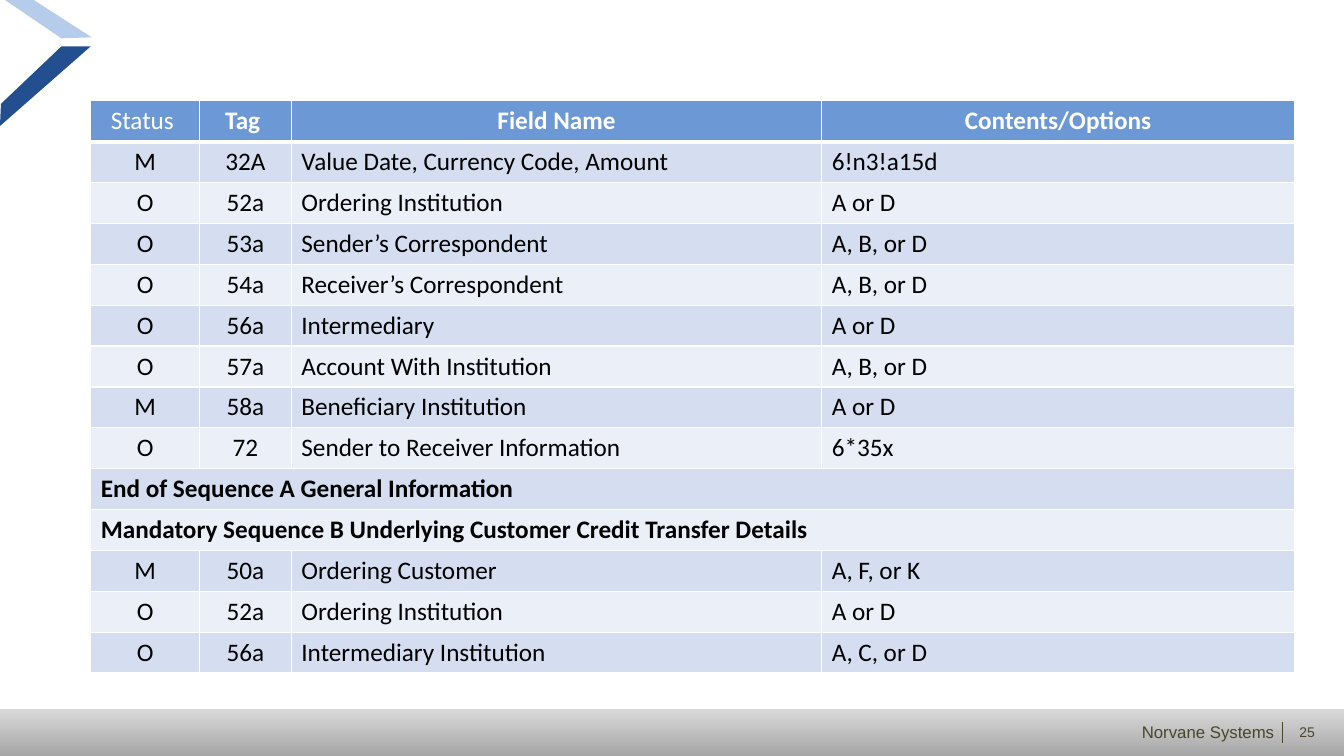
import pptx
import pptx.dml.color
import pptx.enum.shapes
import pptx.enum.text
import pptx.oxml
import pptx.oxml.ns
import pptx.util

Inches, Pt = pptx.util.Inches, pptx.util.Pt
ALIGN = pptx.enum.text.PP_ALIGN
ANCHOR = pptx.enum.text.MSO_ANCHOR

HEADER = ("Status ", "Tag ", "Field Name", "Contents/Options")
ROWS = [
    ("M", "32A", "Value Date, Currency Code, Amount", "6!n3!a15d"),
    ("O", "52a", "Ordering Institution", "A or D"),
    ("O", "53a", "Sender’s Correspondent", "A, B, or D"),
    ("O", "54a", "Receiver’s Correspondent", "A, B, or D"),
    ("O", "56a", "Intermediary", "A or D"),
    ("O", "57a", "Account With Institution", "A, B, or D"),
    ("M", "58a", "Beneficiary Institution", "A or D"),
    ("O", "72", "Sender to Receiver Information", "6*35x"),
    ("End of Sequence A General Information",),
    ("Mandatory Sequence B Underlying Customer Credit Transfer Details",),
    ("M", "50a", "Ordering Customer", "A, F, or K"),
    ("O", "52a", "Ordering Institution", "A or D"),
    ("O", "56a", "Intermediary Institution", "A, C, or D"),
]
COL_WIDTHS = (1.08, 0.91, 5.26, 4.69)
TABLE_TOP, TABLE_HEIGHT = 1, 5.68
HEADER_FILL, BANDS = "6C99D6", ("D4DEF0", "EBEFF7")
FOOTER_INK = "4A452A"
FOOTER_TEXTS = [
    ("25", 12.88, 7.18, 0.17, 0.17, 10, ALIGN.CENTER, ANCHOR.TOP),
    ("Norvane Systems", 11.3, 7.16, 1.34, 0.2, 12, ALIGN.RIGHT, ANCHOR.MIDDLE),
]
CHEVRON = [
    ("B5CCEA", [(0.32, -0.01), (0.91, 0.37), (0.61, 0.38), (0.05, 0)]),
    ("234E8F", [(0.61, 0.46), (0.9, 0.46), (0, 1.25), (0.01, 1.03)]),
]


def color(value):
    return pptx.dml.color.RGBColor.from_string(value)


def style_font(p, name, size, ink, bold=False):
    p.font.name, p.font.size, p.font.bold = name, Pt(size), bold
    p.font.color.rgb = color(ink)


def set_borders(cell, top, bottom):
    tcPr = cell._tc.get_or_add_tcPr()
    for side, width in (("L", 1), ("R", 1), ("T", top), ("B", bottom)):
        tcPr.append(pptx.oxml.parse_xml(
            f'<a:ln{side} {pptx.oxml.ns.nsdecls("a")} w="{Pt(width)}"><a:solidFill>'
            f'<a:srgbClr val="FFFFFF"/></a:solidFill></a:ln{side}>'))


def add_footer(shapes):
    bar = shapes.add_shape(pptx.enum.shapes.MSO_SHAPE.RECTANGLE,
                           0, Inches(7.03), Inches(13.33), Inches(0.47))
    bar.shadow.inherit = False
    bar.line.fill.background()
    bar.fill.gradient()
    bar.fill.gradient_angle = 270
    for stop, shade in zip(bar.fill.gradient_stops, ("D9D9D9", "A6A6A6")):
        stop.color.rgb = color(shade)
    for text, left, top, width, height, size, align, anchor in FOOTER_TEXTS:
        tf = shapes.add_textbox(*map(Inches, (left, top, width, height))).text_frame
        tf.margin_left = tf.margin_right = tf.margin_top = tf.margin_bottom = 0
        tf.word_wrap, tf.vertical_anchor = False, anchor
        tf.auto_size = pptx.enum.text.MSO_AUTO_SIZE.SHAPE_TO_FIT_TEXT
        p = tf.paragraphs[0]
        p.text, p.alignment = text, align
        style_font(p, "Arial", size, FOOTER_INK)
    divider = shapes.add_connector(pptx.enum.shapes.MSO_CONNECTOR.STRAIGHT,
                                   *map(Inches, (12.72, 7.16, 12.72, 7.37)))
    divider.line.color.rgb = color(FOOTER_INK)
    divider.line.width = Pt(0.75)
    divider._element.spPr.append(
        pptx.oxml.parse_xml(f'<a:effectLst {pptx.oxml.ns.nsdecls("a")}/>'))


def add_chevron(shapes):
    for fill, points in CHEVRON:
        corners = [(Inches(x), Inches(y)) for x, y in points]
        builder = shapes.build_freeform(*corners[0])
        builder.add_line_segments(corners[1:], close=True)
        sp = builder.convert_to_shape()
        sp.shadow.inherit = False
        sp.fill.solid()
        sp.fill.fore_color.rgb = color(fill)
        sp.line.fill.background()


def add_field_table(shapes):
    rows = [HEADER] + ROWS
    table = shapes.add_table(len(rows), len(COL_WIDTHS), Inches(0.9), Inches(TABLE_TOP),
                             Inches(sum(COL_WIDTHS)), Inches(TABLE_HEIGHT)).table
    for column, width in zip(table.columns, COL_WIDTHS):
        column.width = Inches(width)
    for i, values in enumerate(rows):
        table.rows[i].height = Inches(TABLE_HEIGHT / len(rows))
        header, section = i == 0, len(values) == 1
        for cell in table.rows[i].cells:
            set_borders(cell, 3 if i == 1 else 1, 3 if header else 1)
            cell.fill.solid()
            cell.fill.fore_color.rgb = color(HEADER_FILL if header else BANDS[(i - 1) % 2])
        if section:
            table.cell(i, 0).merge(table.cell(i, len(COL_WIDTHS) - 1))
        for j, value in enumerate(values):
            p = table.cell(i, j).text_frame.paragraphs[0]
            p.text = value
            centred = header or (j < 2 and not section)
            p.alignment = ALIGN.CENTER if centred else ALIGN.LEFT
            style_font(p, "Calibri", 18, "FFFFFF" if header else "000000",
                       section or (header and j > 0))


prs = pptx.Presentation()
prs.slide_width, prs.slide_height = Inches(13.33), Inches(7.5)
s = prs.slides.add_slide(prs.slide_layouts[6])
add_footer(s.shapes)
add_chevron(s.shapes)
add_field_table(s.shapes)
prs.save("out.pptx")
